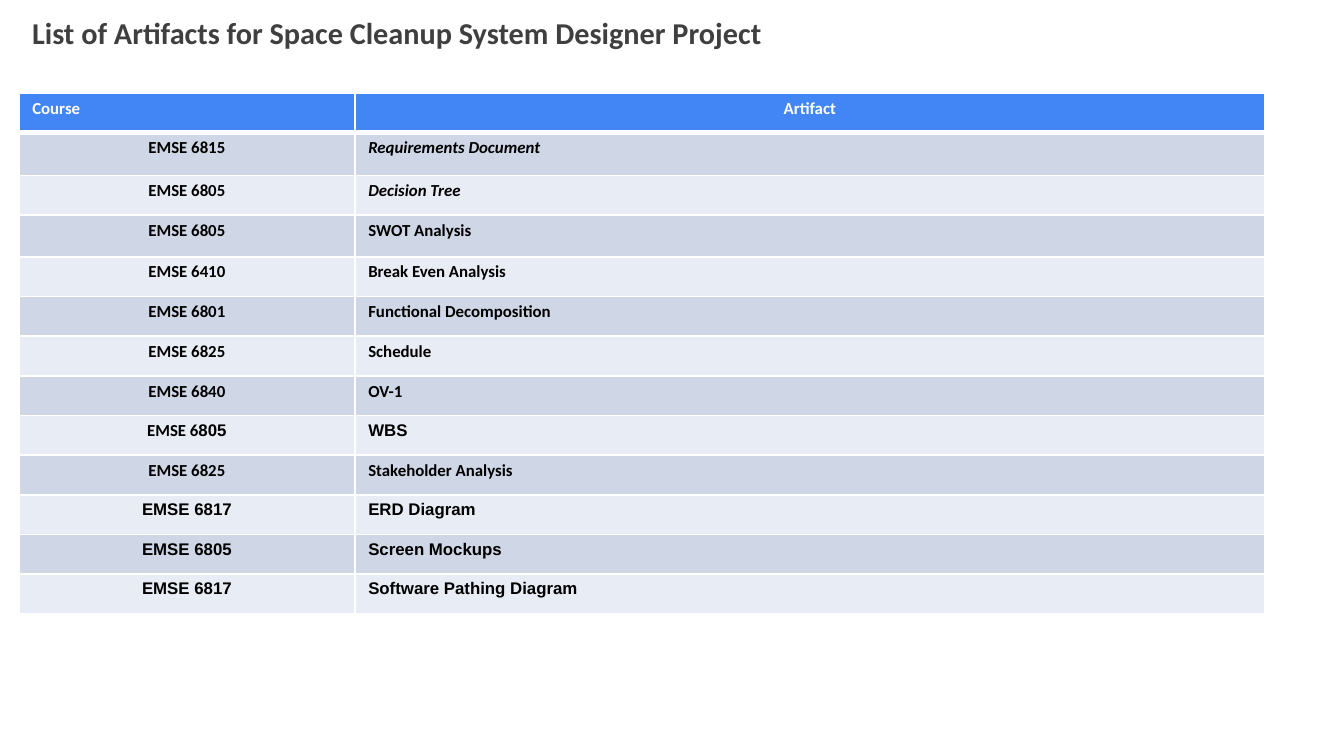
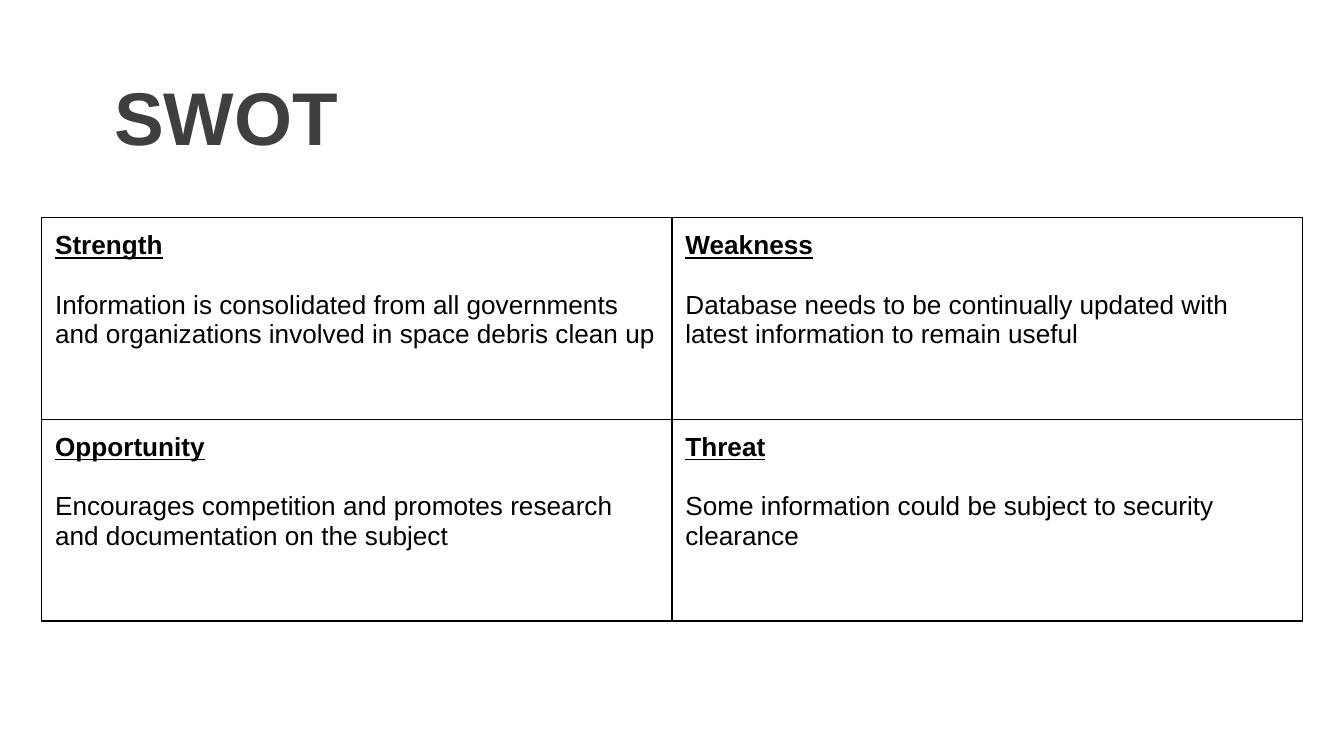
import dataclasses

import pptx
import pptx.dml.color
import pptx.enum.text
import pptx.oxml.ns
import pptx.util
from lxml import etree

Inches = pptx.util.Inches
Align = pptx.enum.text.PP_ALIGN
Anchor = pptx.enum.text.MSO_ANCHOR


@dataclasses.dataclass(frozen=True)
class Theme:
    heading: str = "3F3F3F"
    ink: str = "000000"
    white: str = "FFFFFF"
    header: str = "4285F4"
    bands: tuple = ("CFD7E7", "E8ECF4")
    sans: str = "Arial"
    body: str = "Calibri"
    list_title_size: float = 16.2
    swot_title_size: float = 40
    list_size: float = 9
    swot_size: float = 14
    swot_gap: float = 16
    title_spacing: float = 0.9


THEME = Theme()

ARTIFACTS = [
    ("EMSE 6815", "Requirements Document"),
    ("EMSE 6805", "Decision Tree"),
    ("EMSE 6805", "SWOT Analysis"),
    ("EMSE 6410", "Break Even Analysis"),
    ("EMSE 6801", "Functional Decomposition"),
    ("EMSE 6825", "Schedule"),
    ("EMSE 6840", "OV-1"),
    ("EMSE 6805", "WBS"),
    ("EMSE 6825", "Stakeholder Analysis"),
    ("EMSE 6817", "ERD Diagram"),
    ("EMSE 6805", "Screen Mockups"),
    ("EMSE 6817", "Software Pathing Diagram"),
]
ITALIC_ARTIFACTS = {"Requirements Document", "Decision Tree"}
SANS_ARTIFACTS = {"WBS", "ERD Diagram", "Screen Mockups", "Software Pathing Diagram"}
LIST_HEIGHT = 3.88
TALL_ROWS = {1: 0.32, 3: 0.31}

SWOT = [
    [
        ("Strength", "Information is consolidated from all governments and "
                     "organizations involved in space debris clean up"),
        ("Weakness", "Database needs to be continually updated with latest "
                     "information to remain useful"),
    ],
    [
        ("Opportunity", "Encourages competition and promotes research and "
                        "documentation on the subject"),
        ("Threat", "Some information could be subject to security clearance"),
    ],
]


def rgb(color):
    return pptx.dml.color.RGBColor.from_string(color)


def write(para, text, size, font=THEME.sans, color=THEME.ink, bold=False,
          italic=False, underline=False, align=Align.LEFT):
    para.alignment = align
    span = para.add_run()
    span.text = text
    span.font.size = pptx.util.Pt(size)
    span.font.name = font
    span.font.color.rgb = rgb(color)
    span.font.bold = bold
    span.font.italic = italic
    span.font.underline = underline


def add_title(page, text, left, top, width, height, size, font):
    box = page.shapes.add_textbox(Inches(left), Inches(top), Inches(width), Inches(height))
    frame = box.text_frame
    frame.word_wrap = True
    frame.vertical_anchor = Anchor.MIDDLE
    para = frame.paragraphs[0]
    para.line_spacing = THEME.title_spacing
    write(para, text, size, font=font, color=THEME.heading, bold=True)


def add_grid(page, left, top, widths, heights):
    frame = page.shapes.add_table(
        len(heights), len(widths), Inches(left), Inches(top),
        Inches(sum(widths)), Inches(sum(heights)))
    table = frame.table
    table.first_row = False
    table.horz_banding = False
    for column, width in zip(table.columns, widths):
        column.width = Inches(width)
    for row, height in zip(table.rows, heights):
        row.height = Inches(height)
    return table


def style_cell(cell, inset, border, width, fill=None, top=None, bottom=None):
    cell.margin_left = cell.margin_right = Inches(0.1)
    cell.margin_top = cell.margin_bottom = Inches(inset)
    cell.vertical_anchor = Anchor.TOP
    properties = cell._tc.get_or_add_tcPr()
    sides = {"L": width, "R": width, "T": top or width, "B": bottom or width}
    for side, points in sides.items():
        line = etree.SubElement(properties, pptx.oxml.ns.qn(f"a:ln{side}"),
                                w=str(pptx.util.Pt(points)))
        solid = etree.SubElement(line, pptx.oxml.ns.qn("a:solidFill"))
        etree.SubElement(solid, pptx.oxml.ns.qn("a:srgbClr"), val=border)
    if fill:
        cell.fill.solid()
        cell.fill.fore_color.rgb = rgb(fill)
    else:
        cell.fill.background()


def build_artifact_list(page):
    row_count = len(ARTIFACTS) + 1
    regular = (LIST_HEIGHT - sum(TALL_ROWS.values())) / (row_count - len(TALL_ROWS))
    heights = [TALL_ROWS.get(index, regular) for index in range(row_count)]
    table = add_grid(page, 0.14, 0.69, [2.5, 6.77], heights)
    table.first_row = True
    headings = [("Course", Align.LEFT), ("Artifact", Align.CENTER)]
    for cell, (text, align) in zip(table.rows[0].cells, headings):
        style_cell(cell, 0.04, THEME.white, 1, THEME.header, bottom=3)
        write(cell.text_frame.paragraphs[0], text, THEME.list_size, font=THEME.body,
              color=THEME.white, bold=True, align=align)

    for index, (course, artifact) in enumerate(ARTIFACTS):
        cells = table.rows[index + 1].cells
        for cell in cells:
            style_cell(cell, 0.04, THEME.white, 1, THEME.bands[index % 2],
                       top=1 if index else 3)
        course_para, artifact_para = (cell.text_frame.paragraphs[0] for cell in cells)
        font = THEME.sans if artifact in SANS_ARTIFACTS else THEME.body
        spans = [(course, font)]
        if artifact == "WBS":
            spans = [(course[:6], THEME.body), (course[6:], THEME.sans)]
        for text, span_font in spans:
            write(course_para, text, THEME.list_size, font=span_font, bold=True,
                  align=Align.CENTER)
        write(artifact_para, artifact, THEME.list_size, font=font, bold=True,
              italic=artifact in ITALIC_ARTIFACTS)

    add_title(page, "List of Artifacts for Space Cleanup System Designer Project",
              0.14, 0.06, 8.38, 0.39, THEME.list_title_size, THEME.body)


def build_swot(page):
    add_title(page, "SWOT", 0.75, 0.47, 8.48, 0.86, THEME.swot_title_size, THEME.sans)
    table = add_grid(page, 0.31, 1.62, [4.69] * 2, [1.5] * 2)
    for row, quadrants in zip(table.rows, SWOT):
        for cell, (heading, detail) in zip(row.cells, quadrants):
            style_cell(cell, 0.1, THEME.ink, 0.75)
            frame = cell.text_frame
            write(frame.paragraphs[0], heading, THEME.swot_size, bold=True, underline=True)
            para = frame.add_paragraph()
            para.space_before = pptx.util.Pt(THEME.swot_gap)
            write(para, detail, THEME.swot_size)


def main():
    deck = pptx.Presentation()
    deck.slide_width = Inches(10)
    deck.slide_height = deck.slide_width * 9 // 16
    for build in (build_artifact_list, build_swot):
        page = deck.slides.add_slide(deck.slide_layouts[6])
        build(page)
    deck.save("out.pptx")


if __name__ == "__main__":
    main()
